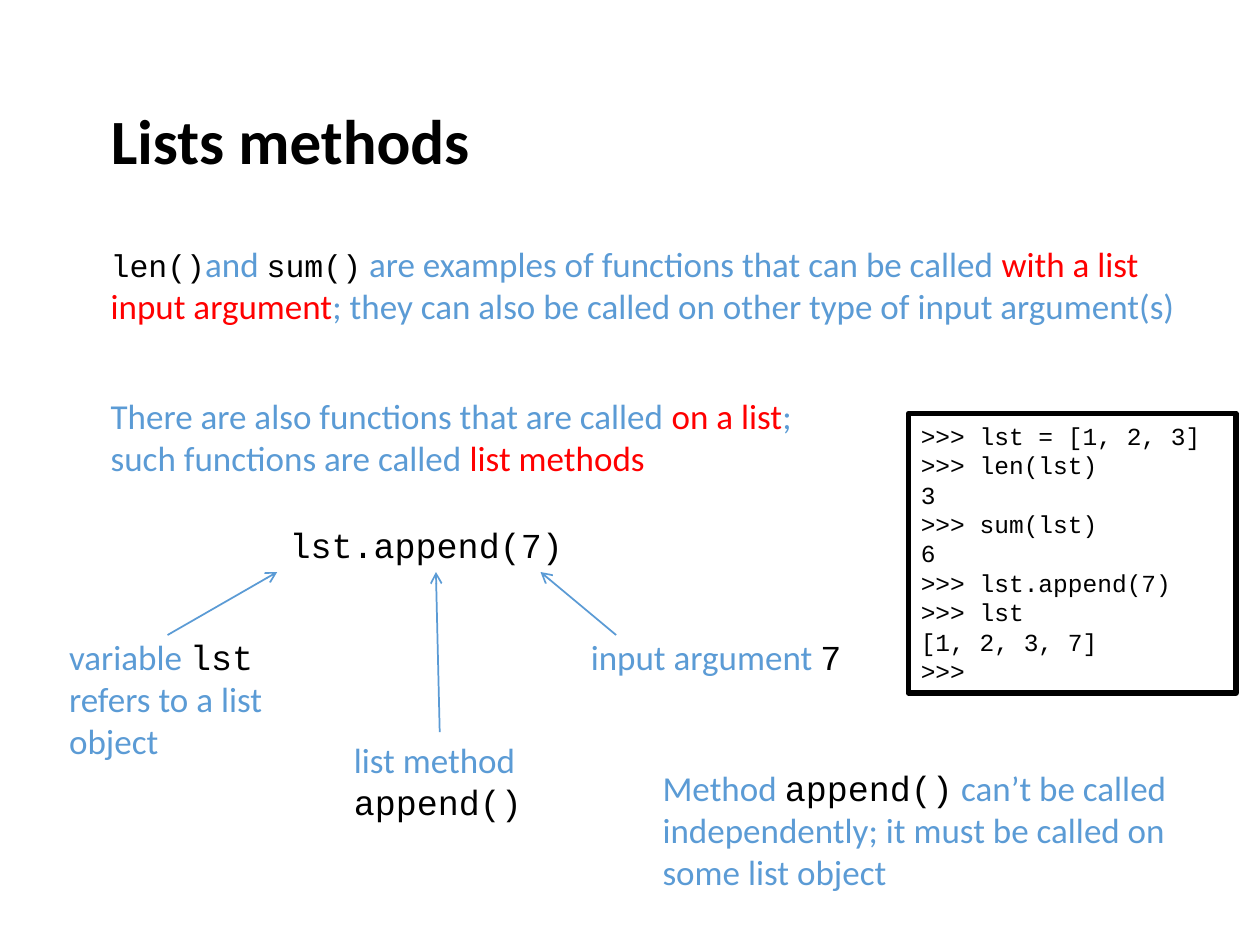
from dataclasses import dataclass
from typing import NamedTuple

from lxml.etree import SubElement
from pptx import Presentation
from pptx.dml.color import RGBColor
from pptx.enum.shapes import MSO_CONNECTOR as Connector, MSO_SHAPE as Preset
from pptx.enum.text import MSO_ANCHOR as Anchor, MSO_AUTO_SIZE as AutoSize, PP_ALIGN as Align
from pptx.oxml.ns import qn
from pptx.util import Inches, Pt


class Style(NamedTuple):
    font: str
    size: int
    color: str
    bold: bool = False


@dataclass(frozen=True)
class Theme:
    blue: str = "5B9BD5"
    black: str = "000000"
    white: str = "FFFFFF"
    title: Style = Style("Calibri", 36, "000000", True)
    prose: Style = Style("Calibri", 20, "5B9BD5")
    accent: Style = Style("Calibri", 20, "FF0000")
    code: Style = Style("Courier New", 20, "000000")
    inline_code: Style = Style("Courier New", 18, "000000")
    console: Style = Style("Courier New", 14, "000000")
    arrow_width: float = 1
    frame_width: float = 3


THEME = Theme()
PROSE, ACCENT, CODE, INLINE = THEME.prose, THEME.accent, THEME.code, THEME.inline_code

Line = list[tuple[str, Style]]


class Area(NamedTuple):
    """Left, top, width and height in grid cells."""
    left: float
    top: float
    width: float
    height: float


class Note(NamedTuple):
    area: Area
    lines: list[Line]
    wrap: bool = True


class Arrow(NamedTuple):
    start: tuple[float, float]
    end: tuple[float, float]


# Grid: 100 columns by 75 rows
presentation = Presentation()
presentation.slide_width, presentation.slide_height = Inches(10), Inches(7.5)
COLUMN = presentation.slide_width / 100
ROW = presentation.slide_height / 75
MARGIN = 7.8


def across(columns: float) -> int:
    return round(columns * COLUMN)


def down(rows: float) -> int:
    return round(rows * ROW)


def place(area: Area) -> tuple[int, int, int, int]:
    return across(area.left), down(area.top), across(area.width), down(area.height)


def set_font(font, style: Style) -> None:
    font.name, font.size, font.bold = style.font, Pt(style.size), style.bold
    font.color.rgb = RGBColor.from_string(style.color)


def write(text_frame, lines: list[Line], wrap: bool = True) -> None:
    text_frame.word_wrap = wrap
    text_frame.auto_size = AutoSize.SHAPE_TO_FIT_TEXT
    text_frame.vertical_anchor = Anchor.MIDDLE
    for index, line in enumerate(lines):
        paragraph = text_frame.add_paragraph() if index else text_frame.paragraphs[0]
        paragraph.alignment = Align.LEFT
        uniform = len({style for _, style in line}) == 1
        if uniform:
            set_font(paragraph.font, line[0][1])
        for text, style in line:
            run = paragraph.add_run()
            run.text = text
            if not uniform:
                set_font(run.font, style)


def add_note(slide, note: Note) -> None:
    write(slide.shapes.add_textbox(*place(note.area)).text_frame, note.lines, note.wrap)


def add_arrow(slide, arrow: Arrow) -> None:
    (x1, y1), (x2, y2) = arrow
    connector = slide.shapes.add_connector(
        Connector.STRAIGHT, across(x1), down(y1), across(x2), down(y2))
    connector.line.color.rgb = RGBColor.from_string(THEME.blue)
    connector.line.width = Pt(THEME.arrow_width)
    SubElement(connector.line._get_or_add_ln(), qn("a:tailEnd"), type="arrow")
    SubElement(connector._element.spPr, qn("a:effectLst"))


def add_console(slide, area: Area, rows: list[str]) -> None:
    console = slide.shapes.add_shape(Preset.RECTANGLE, *place(area))
    console.shadow.inherit = False
    console.fill.solid()
    console.fill.fore_color.rgb = RGBColor.from_string(THEME.white)
    console.line.color.rgb = RGBColor.from_string(THEME.black)
    console.line.width = Pt(THEME.frame_width)
    write(console.text_frame, [[(row, THEME.console)] for row in rows])


NOTES = [
    # Functions and methods
    Note(Area(MARGIN, 18.7, 88.6, 7.7), [[
        ("len()", INLINE), ("and ", PROSE), ("sum()", INLINE),
        (" are examples of functions that can be called ", PROSE),
        ("with a list input argument", ACCENT),
        ("; they can also be called on other type of input argument(s)", PROSE)]]),
    Note(Area(MARGIN, 30.8, 62.6, 7.7), [
        [("There are also functions that are called ", PROSE), ("on a list", ACCENT),
         (";", PROSE)],
        [("such functions are called ", PROSE), ("list methods", ACCENT)]]),
    # Anatomy of the call
    Note(Area(22, 41, 23.9, 4.4), [[("lst.append(7)", CODE)]], wrap=False),
    Note(Area(4.5, 49.9, 17.5, 11.1), [[
        ("variable ", PROSE), ("lst ", CODE), ("refers to a list object", PROSE)]]),
    Note(Area(45.9, 49.9, 22.1, 4.4), [[("input argument ", PROSE), ("7", CODE)]], wrap=False),
    Note(Area(27.1, 58.1, 15.5, 7.7), [[("list method", PROSE)], [("append()", CODE)]],
         wrap=False),
    Note(Area(51.6, 60.3, 44.8, 11.1), [[
        ("Method ", PROSE), ("append()", CODE),
        (" can’t be called independently; it must be called on some list object", PROSE)]]),
]

CALL_BASE = 45.4
ARROWS = [
    Arrow((13.3, 50.4), (22, CALL_BASE)),
    Arrow((34.9, 58.1), (34.6, CALL_BASE)),
    Arrow((48.9, 50.4), (42.9, CALL_BASE)),
]

SESSION = [">>> lst = [1, 2, 3]", ">>> len(lst)", "3", ">>> sum(lst)", "6",
           ">>> lst.append(7)", ">>> lst", "[1, 2, 3, 7]", ">>>"]

slide = presentation.slides.add_slide(presentation.slide_layouts[5])

# Title
title = slide.shapes.title
title.left, title.top, title.width, title.height = place(Area(MARGIN, 0, 85, 16.1))
write(title.text_frame, [[("Lists methods", THEME.title)]])
title.text_frame.auto_size = AutoSize.NONE
title.text_frame.vertical_anchor = Anchor.BOTTOM
title.text_frame.margin_bottom = down(2)

# Notes, arrows and console session
for note in NOTES:
    add_note(slide, note)
for arrow in ARROWS:
    add_arrow(slide, arrow)
add_console(slide, Area(72.1, 32.8, 26, 22.2), SESSION)

presentation.save("out.pptx")
